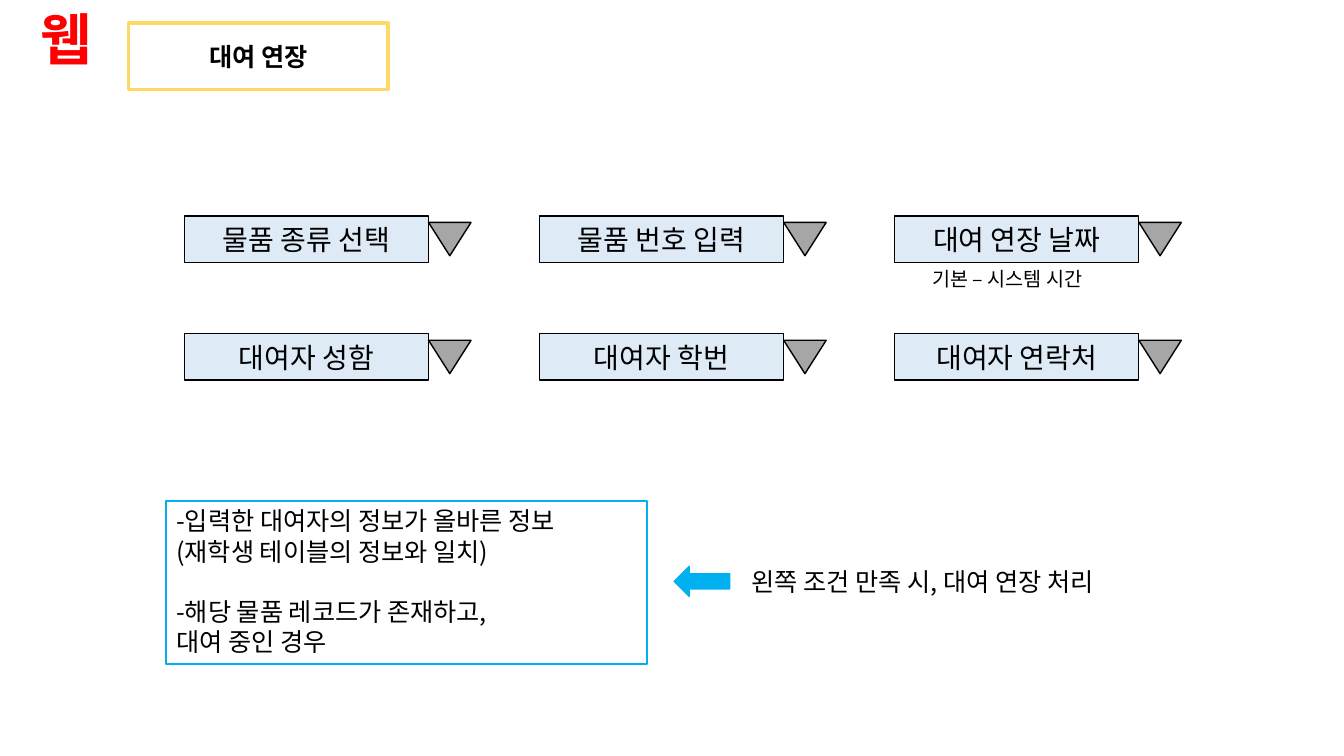
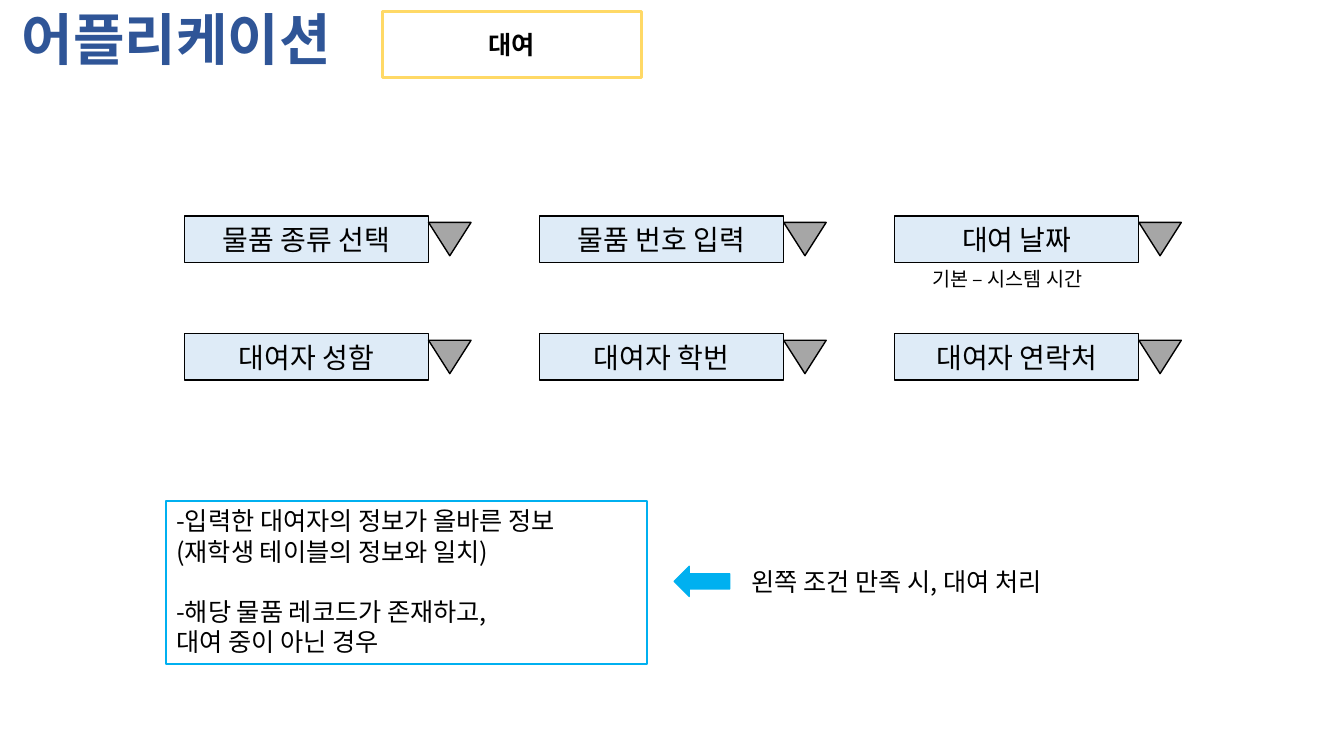
from lxml.etree import SubElement
from pptx import Presentation
from pptx.dml.color import RGBColor
from pptx.enum.shapes import MSO_SHAPE
from pptx.enum.text import MSO_ANCHOR, PP_ALIGN
from pptx.oxml.ns import qn
from pptx.util import Cm, Pt

FONT = "Noto Sans CJK KR"
LINE_HEIGHT = 1.2
BLACK, WHITE = "000000", "FFFFFF"
RED, NAVY = "FF0000", "2F5597"
GOLD, SKY = "FFD966", "00B0F0"
PALE_BLUE, GRAY = "DEEBF7", "A6A6A6"

FIELD_LEFT, FIELD_TOP = 4.65, 5.44
FIELD_WIDTH, FIELD_HEIGHT = 6.15, 1.17
COLUMN_STEP, ROW_STEP = 8.95, 2.97
MARKER_WIDTH, MARKER_HEIGHT = 1.07, 0.84


def rgb(color):
    return RGBColor.from_string(color)


def write(frame, lines, size, color=BLACK, bold=False, align=PP_ALIGN.LEFT, gap_before=()):
    """Fill the frame with one paragraph per line; gap_before lists lines set off by a gap."""
    for index, line in enumerate(lines):
        paragraph = frame.paragraphs[0] if index == 0 else frame.add_paragraph()
        paragraph.text = line
        paragraph.alignment = align
        paragraph.line_spacing = Pt(size * LINE_HEIGHT)
        if index in gap_before:
            paragraph.space_before = Pt(size * LINE_HEIGHT)
        font = paragraph.font
        font.size, font.bold, font.name = Pt(size), bold, FONT
        font.color.rgb = rgb(color)
        properties = paragraph._p.pPr.find(qn("a:defRPr"))
        SubElement(properties, qn("a:ea")).set("typeface", FONT)


def add_text(slide, box, text, size, wrap=False, **style):
    frame = slide.shapes.add_textbox(*map(Cm, box)).text_frame
    frame.word_wrap = wrap
    write(frame, [text], size, **style)


def add_box(slide, kind, box, fill, line, line_width=1):
    shape = slide.shapes.add_shape(kind, *map(Cm, box))
    shape.shadow.inherit = False
    if fill:
        shape.fill.solid()
        shape.fill.fore_color.rgb = rgb(fill)
    else:
        shape.fill.background()
    shape.line.color.rgb = rgb(line)
    shape.line.width = Pt(line_width)
    return shape


def add_header(slide, platform, platform_color, platform_box, screen, screen_left, screen_top):
    add_text(slide, platform_box, platform, 40, color=platform_color, bold=True)
    tag = add_box(slide, MSO_SHAPE.FLOWCHART_PROCESS,
                  (screen_left, screen_top, 6.53, 1.68), WHITE, GOLD, 2.25)
    tag.text_frame.vertical_anchor = MSO_ANCHOR.MIDDLE
    write(tag.text_frame, [screen], 18, bold=True, align=PP_ALIGN.CENTER)


def add_field(slide, left, top, label):
    """Draw an input field with its drop-down marker."""
    field = add_box(slide, MSO_SHAPE.RECTANGLE,
                    (left, top, FIELD_WIDTH, FIELD_HEIGHT), PALE_BLUE, BLACK)
    field.text_frame.vertical_anchor = MSO_ANCHOR.MIDDLE
    write(field.text_frame, [label], 20, align=PP_ALIGN.CENTER)
    marker_top = top + (FIELD_HEIGHT - MARKER_HEIGHT) / 2
    marker = add_box(slide, MSO_SHAPE.FLOWCHART_EXTRACT,
                     (left + FIELD_WIDTH, marker_top, MARKER_WIDTH, MARKER_HEIGHT), GRAY, BLACK)
    marker.rotation = 180


def add_form(slide, date_label):
    rows = [["물품 종류 선택", "물품 번호 입력", date_label],
            ["대여자 성함", "대여자 학번", "대여자 연락처"]]
    for row, labels in enumerate(rows):
        for column, label in enumerate(labels):
            add_field(slide, FIELD_LEFT + column * COLUMN_STEP, FIELD_TOP + row * ROW_STEP, label)
    add_text(slide, (23.24, 6.6, 4.78, 0.86), "기본 – 시스템 시간", 14)


def add_rule(slide, rental_state, action):
    """Draw the conditions, the arrow and the action that follows from them."""
    conditions = add_box(slide, MSO_SHAPE.RECTANGLE, (4.19, 12.62, 12.12, 4.11), None, SKY, 1.5)
    conditions.text_frame.vertical_anchor = MSO_ANCHOR.TOP
    write(conditions.text_frame,
          ["-입력한 대여자의 정보가 올바른 정보", "(재학생 테이블의 정보와 일치)",
           "-해당 물품 레코드가 존재하고,", rental_state],
          18, gap_before=(2,))
    add_box(slide, MSO_SHAPE.LEFT_ARROW, (16.99, 14.27, 1.4, 0.76), SKY, SKY)
    add_text(slide, (18.69, 14.15, 14, 1.8), f"왼쪽 조건 만족 시, {action} 처리", 18, wrap=True)


def main():
    presentation = Presentation()
    presentation.slide_width, presentation.slide_height = Cm(33.87), Cm(19.05)
    blank = presentation.slide_layouts[6]

    web = presentation.slides.add_slide(blank)
    add_header(web, "웹", RED, (0.76, 0, 1.93, 1.96), "대여 연장", 3.25, 0.58)
    add_form(web, "대여 연장 날짜")
    add_rule(web, "대여 중인 경우", "대여 연장")

    app = presentation.slides.add_slide(blank)
    add_header(app, "어플리케이션", NAVY, (0.3, 0, 9.07, 1.96), "대여", 9.63, 0.28)
    add_form(app, "대여 날짜")
    add_rule(app, "대여 중이 아닌 경우", "대여")

    presentation.save("out.pptx")


if __name__ == "__main__":
    main()
